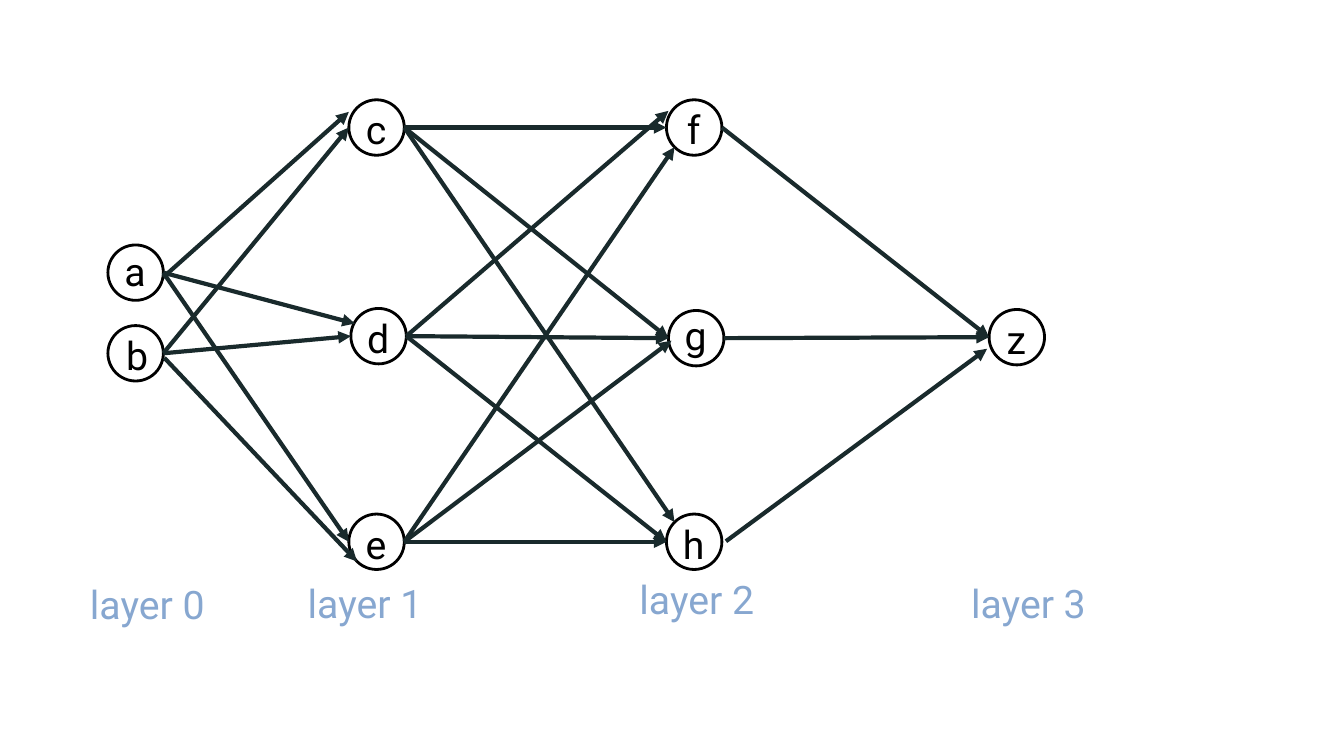
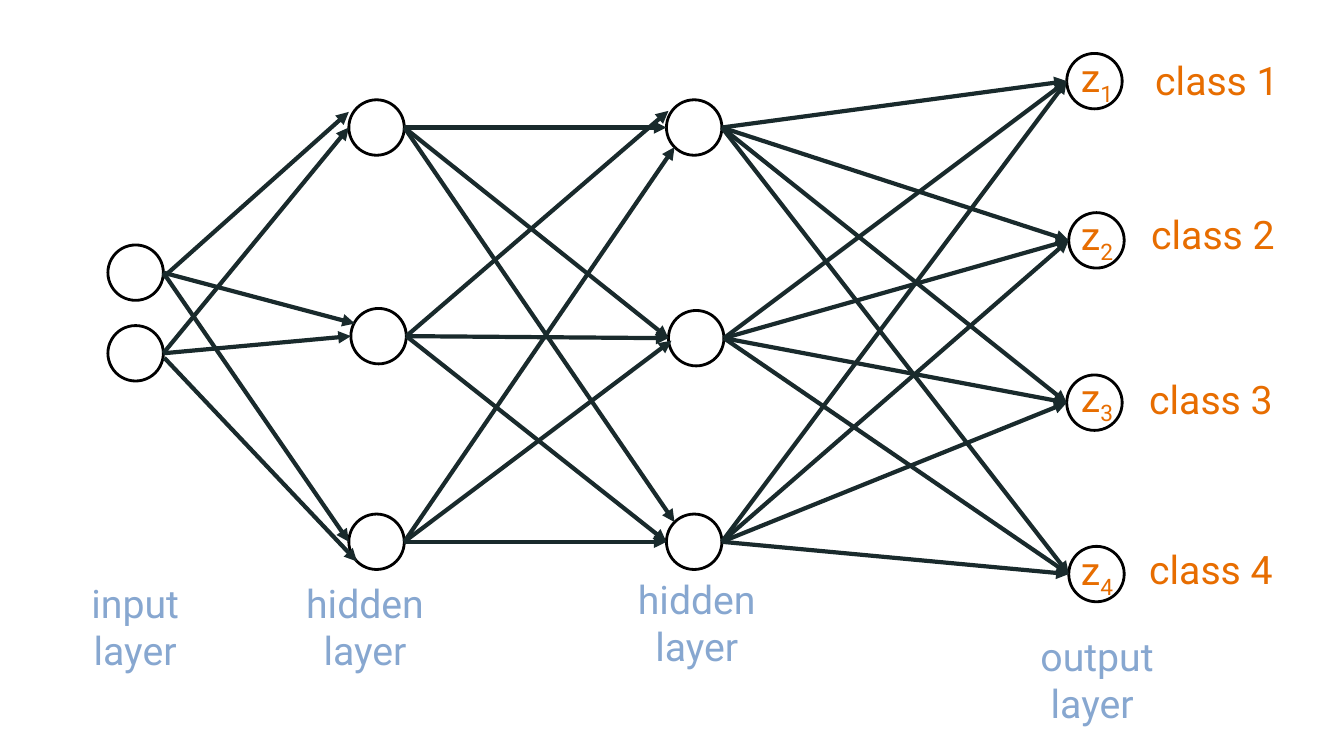
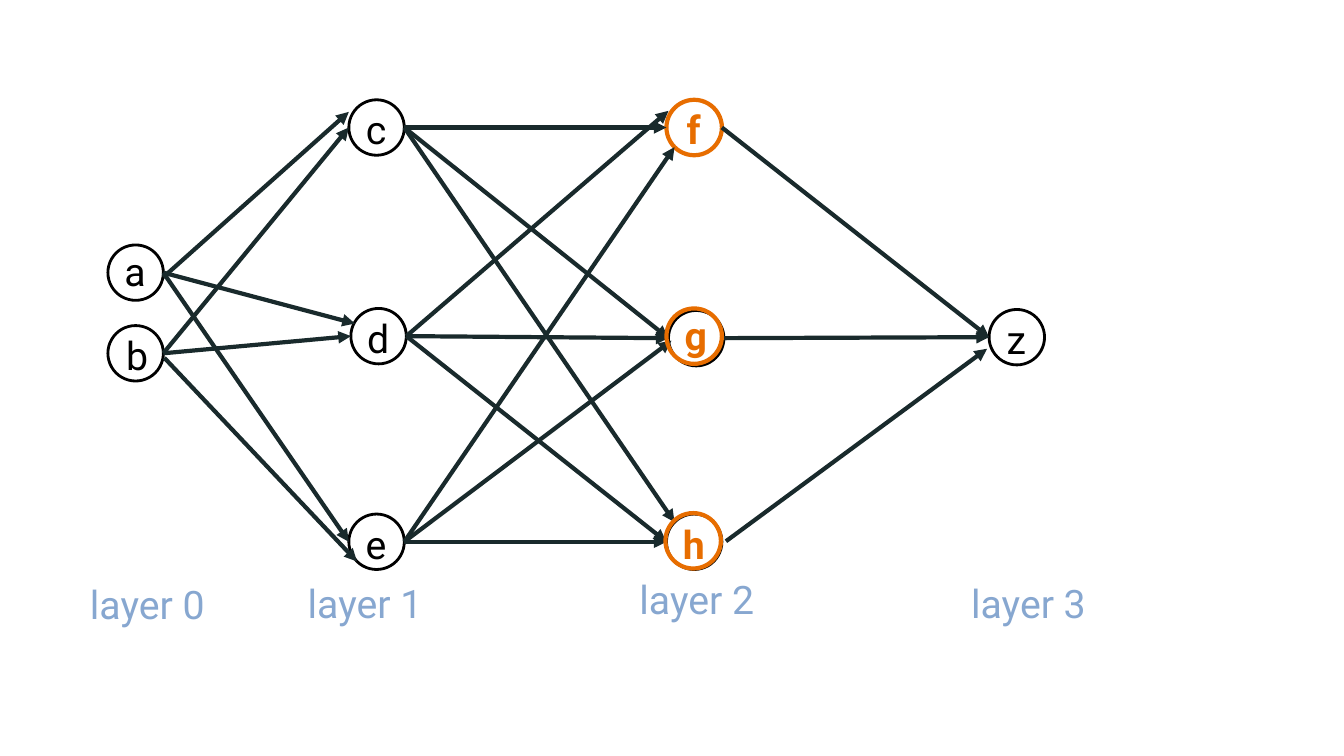
from itertools import product

from lxml.etree import SubElement
from pptx import Presentation
from pptx.dml.color import RGBColor
from pptx.enum.shapes import MSO_CONNECTOR, MSO_SHAPE
from pptx.enum.text import MSO_AUTO_SIZE, PP_ALIGN
from pptx.oxml.ns import qn
from pptx.util import Inches, Pt

BLACK = RGBColor(0x00, 0x00, 0x00)
DARK = RGBColor(0x19, 0x2A, 0x2C)
BLUE = RGBColor(0x87, 0xA7, 0xD0)
ORANGE = RGBColor(0xE7, 0x6D, 0x00)

FONT = "Roboto"
NODE = 0.55          # node diameter
LETTER_W = 0.82      # width of a letter's text box
LABEL_W = 1.92       # width of a label's text box

# Left and top of each node, by layer
LAYERS = [
    {"a": (1.07, 2.43), "b": (1.07, 3.23)},
    {"c": (3.46, 0.99), "d": (3.48, 3.06), "e": (3.46, 5.1)},
    {"f": (6.61, 0.99), "g": (6.63, 3.08), "h": (6.61, 5.1)},
]
SINGLE_OUTPUT = {"z": (9.81, 3.07)}
CLASS_OUTPUTS = {"1": (10.58, 0.53), "2": (10.6, 2.11),
                 "3": (10.58, 3.72), "4": (10.6, 5.42)}

# Arrows whose start or end is off the middle of the node's side
ARROW_ENDS = {
    "ac": ((1.62, 2.75), (3.46, 1.11)),
    "ad": (None, (3.52, 3.21)),
    "be": ((1.63, 3.55), (3.54, 5.57)),
    "ch": (None, (6.69, 5.18)),
    "df": (None, (6.63, 1.1)),
    "ef": (None, (6.69, 1.46)),
    "eg": (None, (6.66, 3.38)),
    "hz": ((7.2, 5.37), (9.79, 3.46)),
}

# Offset of a letter's box from its node
LETTER_OFFSET = (-0.14, 0.01)
LETTER_OFFSETS = {"a": (-0.14, -0.03), "b": (-0.12, 0.01), "g": (-0.14, -0.04)}

# Left and top of the captions under the layers
HIDDEN_CAPTIONS = [(2.66, 5.7), (5.95, 5.66)]
LAYER_CAPTIONS = [(0.5, 5.71), *HIDDEN_CAPTIONS, (9.24, 5.7)]

# Per class: top of the z label, left and top of the class label
CLASS_LABELS = {"1": (0.48, 11.11, 0.51), "2": (2.05, 11.07, 2.04),
                "3": (3.65, 11.05, 3.67), "4": (5.37, 11.05, 5.36)}


def add_text(s, text, left, top, width=LABEL_W, height=0.57, color=BLUE,
             bold=False, sub=""):
    """Centred text, with an optional subscript after it."""
    box = s.shapes.add_textbox(Inches(left), Inches(top),
                               Inches(width), Inches(height))
    tf = box.text_frame
    tf.word_wrap = True
    tf.auto_size = MSO_AUTO_SIZE.SHAPE_TO_FIT_TEXT
    p = tf.paragraphs[0]
    p.alignment = PP_ALIGN.CENTER
    for part in filter(None, (text, sub)):
        r = p.add_run()
        r.text = part
        r.font.name = FONT
        r.font.size = Pt(28)
        r.font.bold = bold
        r.font.color.rgb = color
    if sub:
        r._r.get_or_add_rPr().set("baseline", "-25000")


def add_node(s, left, top, color=BLACK, weight=2):
    sp = s.shapes.add_shape(MSO_SHAPE.OVAL, Inches(left), Inches(top),
                            Inches(NODE), Inches(NODE))
    sp.shadow.inherit = False
    sp.fill.background()
    sp.line.color.rgb = color
    sp.line.width = Pt(weight)


def add_arrow(s, start, end):
    line = s.shapes.add_connector(MSO_CONNECTOR.STRAIGHT,
                                  *map(Inches, (*start, *end)))
    line.line.color.rgb = DARK
    line.line.width = Pt(3)
    SubElement(line.line._get_or_add_ln(), qn("a:tailEnd"), type="triangle")
    SubElement(line._element.spPr, qn("a:effectLst"))


def add_network(s, output, highlighted=()):
    """All nodes, and an arrow from each node to each in the next layer."""
    layers = [*LAYERS, output]
    for layer in layers:
        for name, (left, top) in layer.items():
            if name in highlighted:
                add_node(s, left, top, color=ORANGE, weight=3)
            else:
                add_node(s, left, top)
    for sources, targets in zip(layers, layers[1:]):
        for (a, (ax, ay)), (b, (bx, by)) in product(sources.items(),
                                                    targets.items()):
            start, end = ARROW_ENDS.get(a + b, (None, None))
            add_arrow(s, start or (ax + NODE, ay + NODE / 2),
                      end or (bx, by + NODE / 2))


def add_letters(s, highlighted=()):
    for layer in (*LAYERS, SINGLE_OUTPUT):
        for name, (left, top) in layer.items():
            dx, dy = LETTER_OFFSETS.get(name, LETTER_OFFSET)
            marked = name in highlighted
            add_text(s, name, left + dx, top + dy, width=LETTER_W,
                     color=ORANGE if marked else BLACK, bold=marked)


def add_layer_slide(s, letters=(), rings=()):
    """Lettered network with numbered layers."""
    add_letters(s, letters)
    add_network(s, SINGLE_OUTPUT, rings)
    for i, (left, top) in enumerate(LAYER_CAPTIONS):
        add_text(s, f"layer {i}", left, top)


def add_class_slide(s):
    """Network with one output per class."""
    add_network(s, CLASS_OUTPUTS)
    add_text(s, "input layer", 0.38, 5.7, height=1.04)
    for left, top in HIDDEN_CAPTIONS:
        add_text(s, "hidden layer", left, top, height=1.04)
    add_text(s, "output layer ", 9.92, 6.22, height=1.04)
    for number, (z_top, left, top) in CLASS_LABELS.items():
        add_text(s, "z", 9.92, z_top, color=ORANGE, sub=number)
        add_text(s, f"class {number}", left, top, color=ORANGE)


def main():
    prs = Presentation()
    prs.slide_width, prs.slide_height = Inches(13.33), Inches(7.5)
    blank = prs.slide_layouts[6]

    add_layer_slide(prs.slides.add_slide(blank))
    add_class_slide(prs.slides.add_slide(blank))

    # Layer 2 highlighted; g and h get a second ring over the first
    s = prs.slides.add_slide(blank)
    add_layer_slide(s, letters="fgh", rings="f")
    for left, top in ((6.61, 3.06), (6.6, 5.09)):
        add_node(s, left, top, color=ORANGE, weight=3)

    prs.save("out.pptx")


if __name__ == "__main__":
    main()
